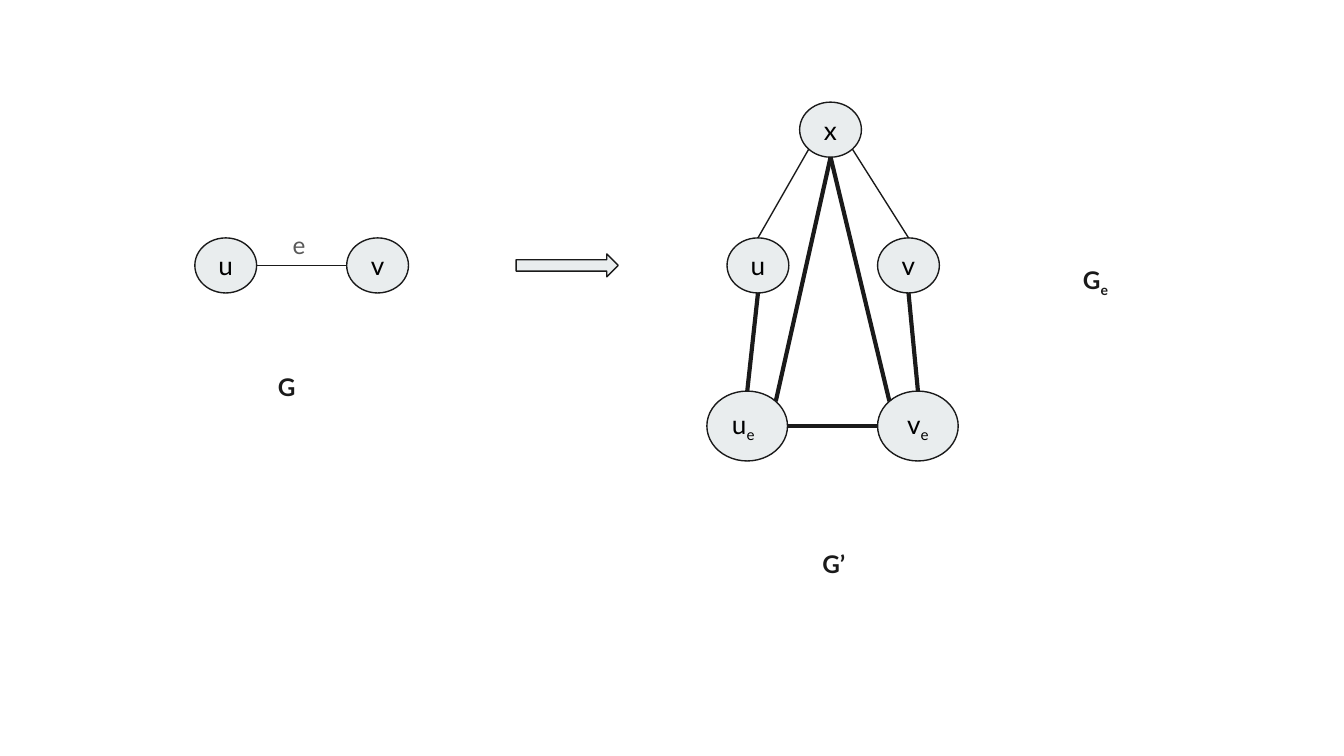
from math import cos, radians, sin

from lxml import etree
from pptx import Presentation
from pptx import util as u
from pptx.dml.color import RGBColor
from pptx.enum import shapes, text
from pptx.oxml.ns import qn

PX = 9144  # EMU per px, 100 px to the inch
INK = RGBColor(0x1A, 0x1A, 0x1A)
PALE = RGBColor(0xE9, 0xED, 0xEE)
GREY = RGBColor(0x59, 0x59, 0x59)
BLACK = RGBColor(0x00, 0x00, 0x00)
THIN, THICK = 0.75, 2.25
SMALL, LARGE = (46, 41), (60, 52)
CENTER, LEFT = text.PP_ALIGN.CENTER, text.PP_ALIGN.LEFT

# Widescreen slide, 16 to 9
presentation = Presentation()
presentation.slide_width, presentation.slide_height = u.Pt(720), u.Pt(405)
slide = presentation.slides.add_slide(presentation.slide_layouts[6])


def write(shape, words, subscript, align, anchor, font_values):
    """Write words and an optional subscript into a shape."""
    frame = shape.text_frame
    frame_values = {"word_wrap": True, "vertical_anchor": anchor}
    for side in ("left", "top", "right", "bottom"):
        frame_values[f"margin_{side}"] = 10 * PX
    for name, value in frame_values.items():
        setattr(frame, name, value)
    paragraph = frame.paragraphs[0]
    paragraph.alignment = align
    for content, baseline in ((words, None), (subscript, "-25000")):
        if not content:
            continue
        run = paragraph.add_run()
        run.text = content
        for name, value in font_values.items():
            if name == "color":
                run.font.color.rgb = value
            else:
                setattr(run.font, name, value)
        if baseline:
            run._r.get_or_add_rPr().set("baseline", baseline)


def add_outlined(kind, left, top, width, height):
    """Add a pale shape with a thin dark outline."""
    shape = slide.shapes.add_shape(
        kind, left * PX, top * PX, width * PX, height * PX)
    shape.shadow.inherit = False
    shape.fill.solid()
    shape.fill.fore_color.rgb = PALE
    shape.line.color.rgb = INK
    shape.line.width = u.Pt(THIN)
    return shape


# Vertices of both graphs
vertices = {}
for key, words, subscript, left, top, size, align in (
    ("G u", "u", "", 145, 177, SMALL, CENTER),
    ("G v", "v", "", 258, 177, SMALL, CENTER),
    ("u", "u", "", 541, 177, SMALL, CENTER),
    ("v", "v", "", 653, 177, SMALL, CENTER),
    ("u_e", "u", "e", 526, 291, LARGE, LEFT),
    ("v_e", "v", "e", 653, 291, LARGE, CENTER),
    ("x", "x", "", 595, 76, SMALL, CENTER),
):
    vertex = add_outlined(shapes.MSO_SHAPE.OVAL, left, top, *size)
    write(vertex, words, subscript, align, text.MSO_ANCHOR.MIDDLE,
          {"name": "Lato", "size": u.Pt(14), "color": BLACK})
    vertices[key] = vertex

# Edges, each end at an angle on its vertex (0 is right, 90 is down)
for start, start_angle, end, end_angle, weight in (
    ("G u", 0, "G v", 180, THIN),
    ("u", 270, "x", 135, THIN),
    ("v", 270, "x", 45, THIN),
    ("x", 90, "u_e", 315, THICK),
    ("x", 90, "v_e", 225, THICK),
    ("u", 90, "u_e", 270, THICK),
    ("v", 90, "v_e", 270, THICK),
    ("u_e", 0, "v_e", 180, THICK),
):
    points = []
    for key, angle in ((start, start_angle), (end, end_angle)):
        vertex = vertices[key]
        points += [
            round(vertex.left + vertex.width / 2 * (1 + cos(radians(angle)))),
            round(vertex.top + vertex.height / 2 * (1 + sin(radians(angle)))),
        ]
    edge = slide.shapes.add_connector(shapes.MSO_CONNECTOR.STRAIGHT, *points)
    edge.line.color.rgb = INK
    edge.line.width = u.Pt(weight)
    etree.SubElement(edge._element.spPr, qn("a:effectLst"))

# Arrow from G to G’
add_outlined(shapes.MSO_SHAPE.RIGHT_ARROW, 384, 189, 76, 17)

# Edge label and graph names
for words, subscript, left, top, width, color, bold in (
    ("e", "", 208, 161, 33, GREY, False),
    ("G", "", 197, 267, 44, INK, True),
    ("G’", "", 602, 399, 44, INK, True),
    ("G", "e", 796, 187, 44, INK, True),
):
    label = slide.shapes.add_textbox(left * PX, top * PX, width * PX, 42 * PX)
    write(label, words, subscript, LEFT, text.MSO_ANCHOR.TOP,
          {"name": "Lato", "size": u.Pt(13), "color": color, "bold": bold})
    label.text_frame.auto_size = text.MSO_AUTO_SIZE.SHAPE_TO_FIT_TEXT

presentation.save("out.pptx")
